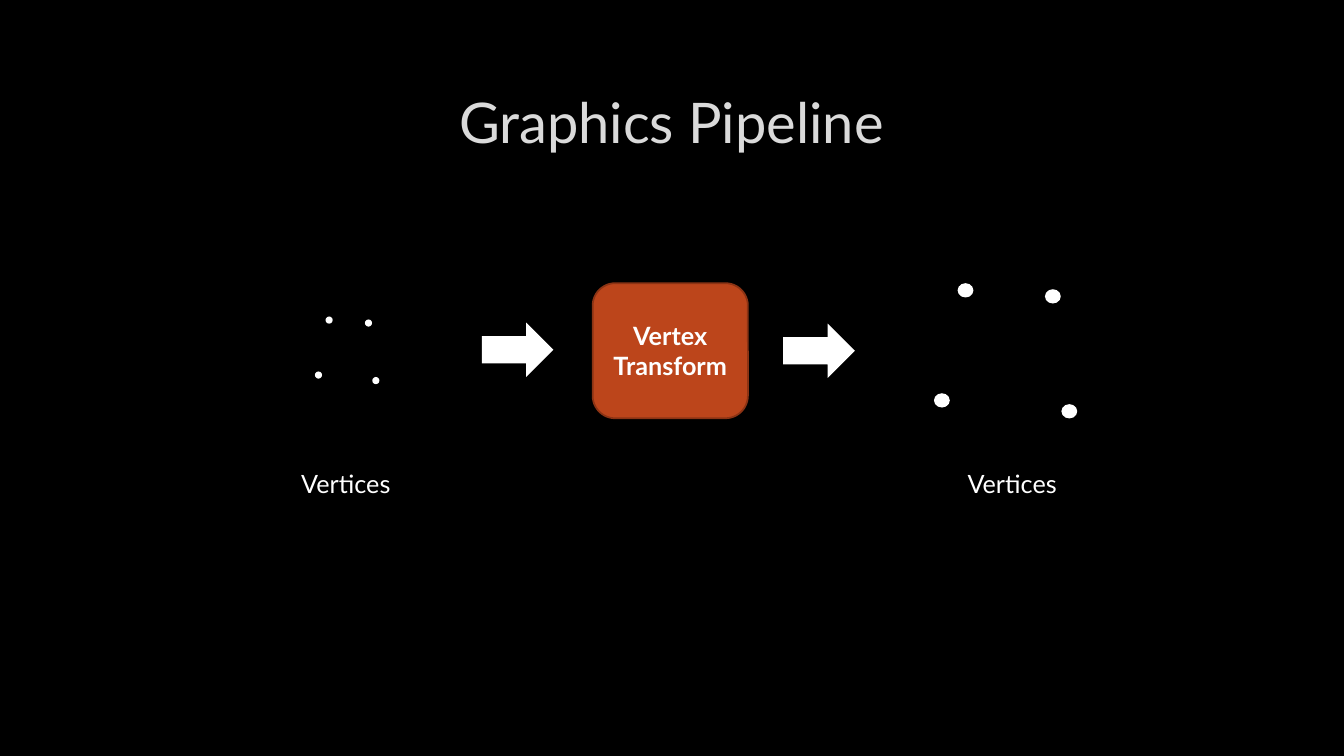
"""Build the Graphics Pipeline slide, where a vertex transform enlarges four vertices."""
from pptx import Presentation
from pptx.dml.color import RGBColor
from pptx.enum.shapes import MSO_SHAPE as Preset
from pptx.enum.text import MSO_ANCHOR as Anchor, PP_ALIGN as Align
from pptx.util import Pt

SLIDE_SIZE = (960, 540)
WHITE = "FFFFFF"
TITLE = ("Graphics Pipeline", (72, 48.24, 815.04, 76.32))
STAGE = ("Vertex Transform", (423.36, 202.32, 110.88, 96.48))
LABEL = "Vertices"
LABEL_LEFTS = (208.08, 684)
LABEL_TOP, LABEL_SIZE = 331.2, (84.96, 28.8)
ARROWS = ((344.16, 230.4), (559.44, 231.12))
ARROW_SIZE = (51.12, 38.88)
VERTEX_OFFSETS = ((0, 0), (-7.6, 39.3), (33.4, 43.2), (28.1, 2.15))
VERTEX_DIAMETER = 5.1
VERTEX_GROUPS = (((232.56, 226.08), (1, 1)), ((684, 202.32), (2.22, 2)))


def color(hex_code):
    return RGBColor.from_string(hex_code)


def add_shape(slide, preset, box, fill, line=None):
    shape = slide.shapes.add_shape(preset, *map(Pt, box))
    shape.shadow.inherit = False
    shape.fill.solid()
    shape.fill.fore_color.rgb = color(fill)
    if line:
        shape.line.color.rgb, shape.line.width = color(line), Pt(1.25)
    else:
        shape.line.fill.background()
    return shape


def write(shape, text, ink=WHITE, align=Align.LEFT, anchor=Anchor.TOP, **formats):
    frame = shape.text_frame
    frame.word_wrap, frame.vertical_anchor = True, anchor
    paragraph = frame.paragraphs[0]
    paragraph.text, paragraph.alignment = text, align
    for name, value in {"name": "Lato", "size": Pt(18), **formats}.items():
        setattr(paragraph.font, name, value)
    paragraph.font.color.rgb = color(ink)


def add_text(slide, text, box, **formats):
    write(slide.shapes.add_textbox(*map(Pt, box)), text, **formats)


def add_vertices(slide, origin, scale):
    size = [VERTEX_DIAMETER * factor for factor in scale]
    for offset in VERTEX_OFFSETS:
        place = [start + step * factor for start, step, factor in zip(origin, offset, scale)]
        add_shape(slide, Preset.FLOWCHART_CONNECTOR, (*place, *size), WHITE)


def main():
    presentation = Presentation()
    presentation.slide_width, presentation.slide_height = map(Pt, SLIDE_SIZE)
    slide = presentation.slides.add_slide(presentation.slide_layouts[6])
    slide.background.fill.solid()
    slide.background.fill.fore_color.rgb = color("000000")

    centered = {"align": Align.CENTER, "anchor": Anchor.MIDDLE}
    add_text(slide, *TITLE, ink="DADADA", size=Pt(40), **centered)
    stage_text, stage_box = STAGE
    stage = add_shape(slide, Preset.ROUNDED_RECTANGLE, stage_box, "BC451B", "8B3314")
    write(stage, stage_text, bold=True, **centered)
    for origin, scale in VERTEX_GROUPS:
        add_vertices(slide, origin, scale)
    for place in ARROWS:
        add_shape(slide, Preset.RIGHT_ARROW, (*place, *ARROW_SIZE), WHITE)
    for left in LABEL_LEFTS:
        add_text(slide, LABEL, (left, LABEL_TOP, *LABEL_SIZE))
    presentation.save("out.pptx")


if __name__ == "__main__":
    main()
